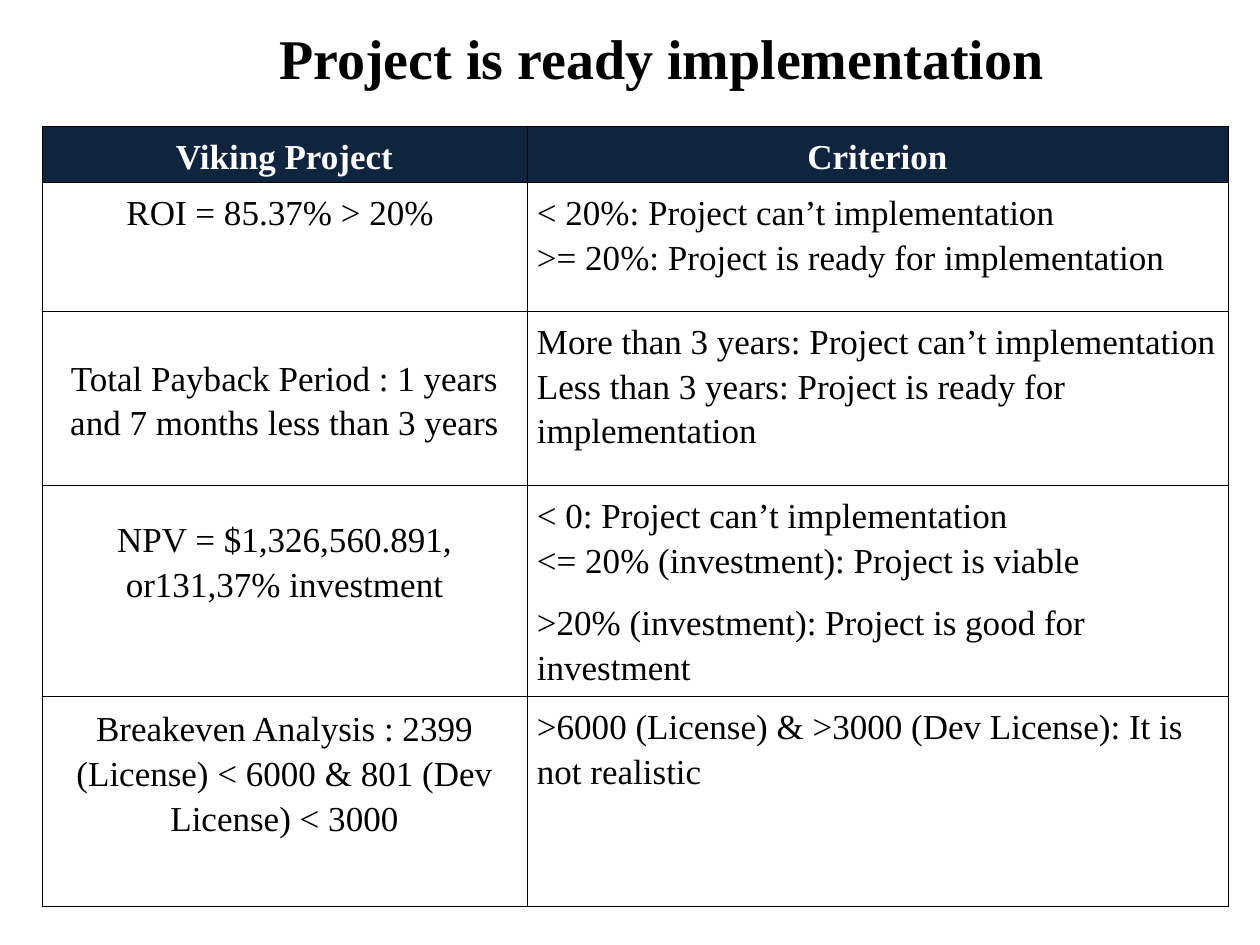
from lxml import etree
from pptx import Presentation
from pptx.dml.color import RGBColor
from pptx.enum.text import MSO_ANCHOR, PP_ALIGN
from pptx.oxml.ns import qn
from pptx.util import Emu, Pt

BLACK = RGBColor(0x00, 0x00, 0x00)
WHITE = RGBColor(0xFF, 0xFF, 0xFF)
NAVY = RGBColor(0x0F, 0x24, 0x3E)
FONT = "Times New Roman"
LEFT, CENTER = PP_ALIGN.LEFT, PP_ALIGN.CENTER
TOP, MIDDLE, BOTTOM = MSO_ANCHOR.TOP, MSO_ANCHOR.MIDDLE, MSO_ANCHOR.BOTTOM


def px(n):
    """Convert pixels, 126 to the inch, to EMU."""
    return Emu(round(n * 914400 / 126))


def write(tf, text, size=20, color=BLACK, bold=False, align=LEFT, spacing=1.15, after=10):
    """Write one paragraph per line; the first of several has no space after."""
    lines = text.split("\n")
    for i, line in enumerate(lines):
        p = tf.paragraphs[0] if i == 0 else tf.add_paragraph()
        p.alignment = align
        p.line_spacing = spacing
        p.space_before = Pt(0)
        p.space_after = Pt(after if i or len(lines) == 1 else 0)
        r = p.add_run()
        r.text = line
        r.font.name = FONT
        r.font.size = Pt(size)
        r.font.bold = bold
        r.font.color.rgb = color


prs = Presentation()
prs.slide_width, prs.slide_height = px(1260), px(945)
s = prs.slides.add_slide(prs.slide_layouts[5])

title = s.shapes.title
title.left, title.top, title.width, title.height = px(242), px(21), px(840), px(73)
title.text_frame.vertical_anchor = MIDDLE
write(title.text_frame, "Project is ready implementation", size=32, bold=True,
      align=CENTER, spacing=1.0, after=0)

# Project result, its anchor and bottom margin in px, then the criterion
ROWS = [
    ("Viking Project", TOP, 6, "Criterion"),
    ("ROI = 85.37% > 20% ", TOP, 6,
     "< 20%: Project can’t implementation\n"
     ">= 20%: Project is ready for implementation"),
    ("Total Payback Period : 1 years and 7 months less than 3 years", MIDDLE, 6,
     "More than 3 years: Project can’t implementation\n"
     "Less than 3 years: Project is ready for implementation"),
    ("NPV = $1,326,560.891, or131,37% investment", MIDDLE, 68,
     "< 0: Project can’t implementation\n"
     "<= 20% (investment): Project is viable\n"
     ">20% (investment): Project is good for investment"),
    ("Breakeven Analysis : 2399 (License) < 6000 & 801 (Dev License) < 3000", BOTTOM, 68,
     ">6000 (License) & >3000 (Dev License): It is not realistic"),
]
COL_WIDTHS = [485, 701]
ROW_HEIGHTS = [48, 129, 174, 211, 210]

table = s.shapes.add_table(len(ROWS), 2, px(42), px(126),
                           px(sum(COL_WIDTHS)), px(sum(ROW_HEIGHTS))).table
table.horz_banding = False
for col, width in zip(table.columns, COL_WIDTHS):
    col.width = px(width)
for row, height in zip(table.rows, ROW_HEIGHTS):
    row.height = px(height)

for i, (result, anchor, bottom, criterion) in enumerate(ROWS):
    header = i == 0
    for j, text in enumerate((result, criterion)):
        cell = table.cell(i, j)
        cell.margin_left = cell.margin_right = px(10)
        cell.margin_top = px(6)
        cell.margin_bottom = px(6 if j else bottom)
        cell.vertical_anchor = TOP if j else anchor
        write(cell.text_frame, text, bold=header, color=WHITE if header else BLACK,
              align=CENTER if header or j == 0 else LEFT)
        tcPr = cell._tc.get_or_add_tcPr()
        for side in ("a:lnL", "a:lnR", "a:lnT", "a:lnB"):
            ln = etree.SubElement(tcPr, qn(side), w=str(Pt(0.45)))
            fill = etree.SubElement(ln, qn("a:solidFill"))
            etree.SubElement(fill, qn("a:srgbClr"), val=str(BLACK))
        if header:
            cell.fill.solid()
            cell.fill.fore_color.rgb = NAVY
        else:
            cell.fill.background()

prs.save("out.pptx")
